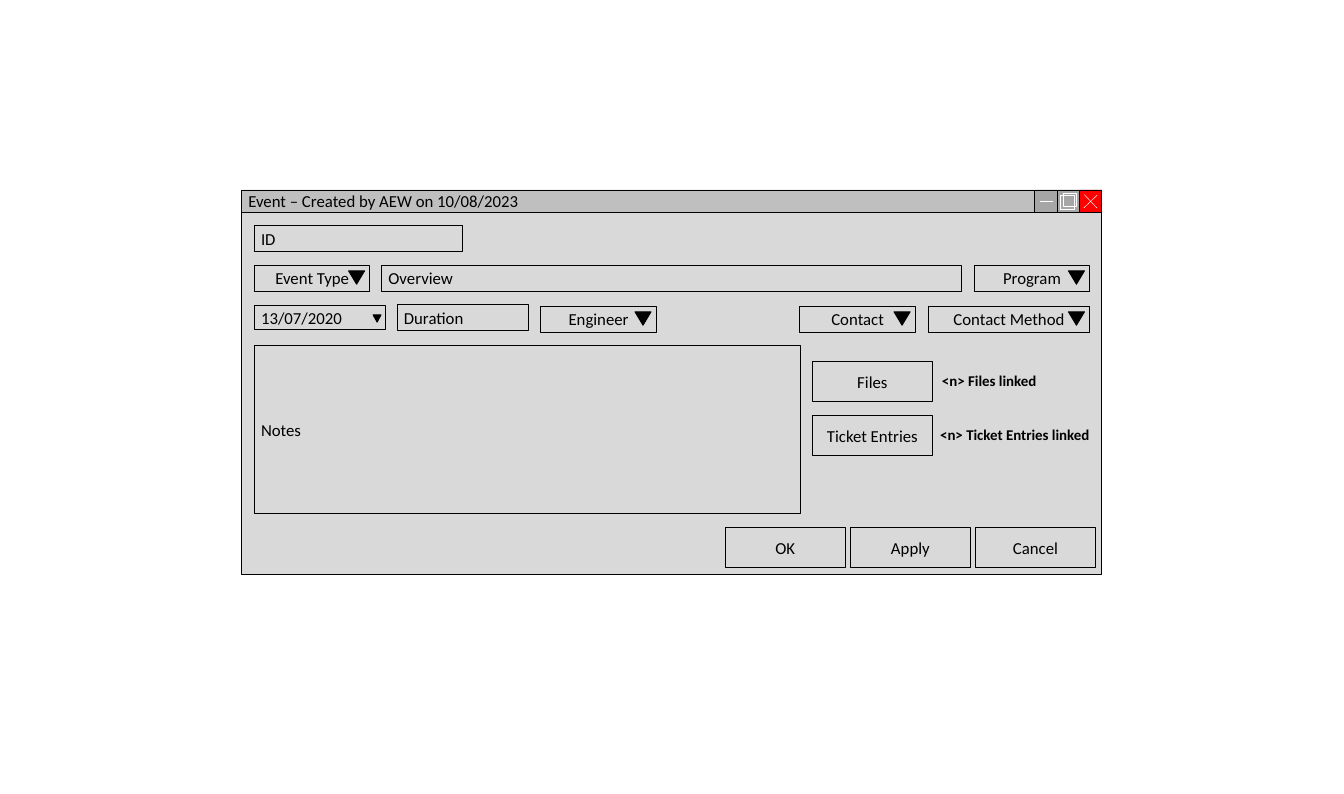
"""Build a slide that mocks up the event entry window."""
import pptx
import pptx.dml.color
import pptx.enum.shapes
import pptx.enum.text
import pptx.oxml
import pptx.util

Pt = pptx.util.Pt
Kind = pptx.enum.shapes.MSO_SHAPE
Align = pptx.enum.text.PP_ALIGN
Anchor = pptx.enum.text.MSO_ANCHOR
theme = {
    "font": "Calibri", "text": 18, "note": 16, "edge": 1, "thin": 0.5,
    "face": "D9D9D9", "bar": "BFBFBF", "tool": "A6A6A6",
    "close": "FF0000", "ink": "000000", "mark": "FFFFFF",
}


def write(shape, text, align, size="text", bold=False):
    frame = shape.text_frame
    frame.word_wrap = True
    frame.auto_size = pptx.enum.text.MSO_AUTO_SIZE.NONE
    frame.vertical_anchor = Anchor.MIDDLE
    line = frame.paragraphs[0]
    line.alignment = align
    run = line.add_run()
    run.text = text
    run.font.name = theme["font"]
    run.font.size = Pt(theme[size])
    run.font.bold = bold
    run.font.color.rgb = pptx.dml.color.RGBColor.from_string(theme["ink"])


def draw(x, y, w, h, fill="face", edge="ink", kind=Kind.RECTANGLE):
    shape = slide.shapes.add_shape(kind, Pt(x), Pt(y), Pt(w), Pt(h))
    shape.shadow.inherit = False
    if fill:
        shape.fill.solid()
        shape.fill.fore_color.rgb = pptx.dml.color.RGBColor.from_string(theme[fill])
    else:
        shape.fill.background()
    shape.line.color.rgb = pptx.dml.color.RGBColor.from_string(theme[edge])
    shape.line.width = Pt(theme["edge"])
    return shape


deck = pptx.Presentation()
deck.slide_width, deck.slide_height = Pt(1442.16), Pt(851.76)
slide = deck.slides.add_slide(deck.slide_layouts[5])

left, top, width, tool = 259.2, 203.8, 923, 23.9
right = left + width
body = draw(left, top, width, 412.5)

title = slide.shapes.title
body.element.addnext(title.element)
title.left, title.top, title.width, title.height = Pt(left), Pt(top), Pt(width), Pt(tool)
title.fill.solid()
title.fill.fore_color.rgb = pptx.dml.color.RGBColor.from_string(theme["bar"])
title.line.color.rgb = pptx.dml.color.RGBColor.from_string(theme["ink"])
title.line.width = Pt(theme["edge"])
write(title, "Event – Created by AEW on 10/08/2023", Align.LEFT)

for place, fill in enumerate(["close", "tool", "tool"], 1):
    draw(right - place * tool, top, tool, tool, fill)
for x, y in [(1138.3, 210.2), (1141.2, 207.4)]:
    draw(x, y, 14.4, 14.4, None, "mark")
strokes = [(1177.2, 209.5, 1162.8, 223.2), (1163.5, 208.8, 1177.2, 223.2),
           (1116, 216, 1130.4, 216)]
for ends in strokes:
    stroke = slide.shapes.add_connector(
        pptx.enum.shapes.MSO_CONNECTOR.STRAIGHT, *[Pt(end) for end in ends])
    stroke.line.color.rgb = pptx.dml.color.RGBColor.from_string(theme["mark"])
    stroke.line.width = Pt(theme["thin"])
    stroke.element.spPr.append(pptx.oxml.parse_xml(
        '<a:effectLst xmlns:a="http://schemas.openxmlformats.org/drawingml/2006/main"/>'))

inset, high = 273, 28
fields = [
    ("ID", inset, 242, 223, high), ("Overview", 409.7, 284.5, 622, high),
    ("13/07/2020", inset, 327.6, 140.4, 26), ("Duration", 426.3, 327, 140.4, high),
    ("Notes", inset, 370.8, 586, 180),
]
for text, x, y, w, h in fields:
    write(draw(x, y, w, h), text, Align.LEFT)

arrows = [(400.3, 337.7, 8.6, 7.9)]
lists = [
    ("Event Type", inset, 284.5, 124), ("Program", 1045.4, 284.5, 124),
    ("Engineer", 580.3, 328.5, 124), ("Contact", 858.3, 328.5, 124),
    ("Contact Method", 995.9, 328.5, 173.5),
]
for text, x, y, w in lists:
    write(draw(x, y, w, high), text, Align.CENTER)
    arrows.append((x + w - 23, y + 6, 17.3, 14.4))
for x, y, w, h in arrows:
    draw(x, y, w, h, "ink", kind=Kind.ISOSCELES_TRIANGLE).rotation = 180

buttons = [("Files", 872, 388), ("Ticket Entries", 872, 445.8)]
buttons += [(text, 778.5 + place * 134.25, 566)
            for place, text in enumerate(["OK", "Apply", "Cancel"])]
for text, x, y in buttons:
    write(draw(x, y, 128.2, 43.2), text, Align.CENTER)

notes = [("<n> Files linked", 1003.7, 394.6, 141.8, Align.LEFT),
         ("<n> Ticket Entries linked", 995.8, 452.9, 186.4, Align.CENTER)]
for text, x, y, w, align in notes:
    note = slide.shapes.add_textbox(Pt(x), Pt(y), Pt(w), Pt(26.6))
    write(note, text, align, "note", True)

deck.save("out.pptx")
